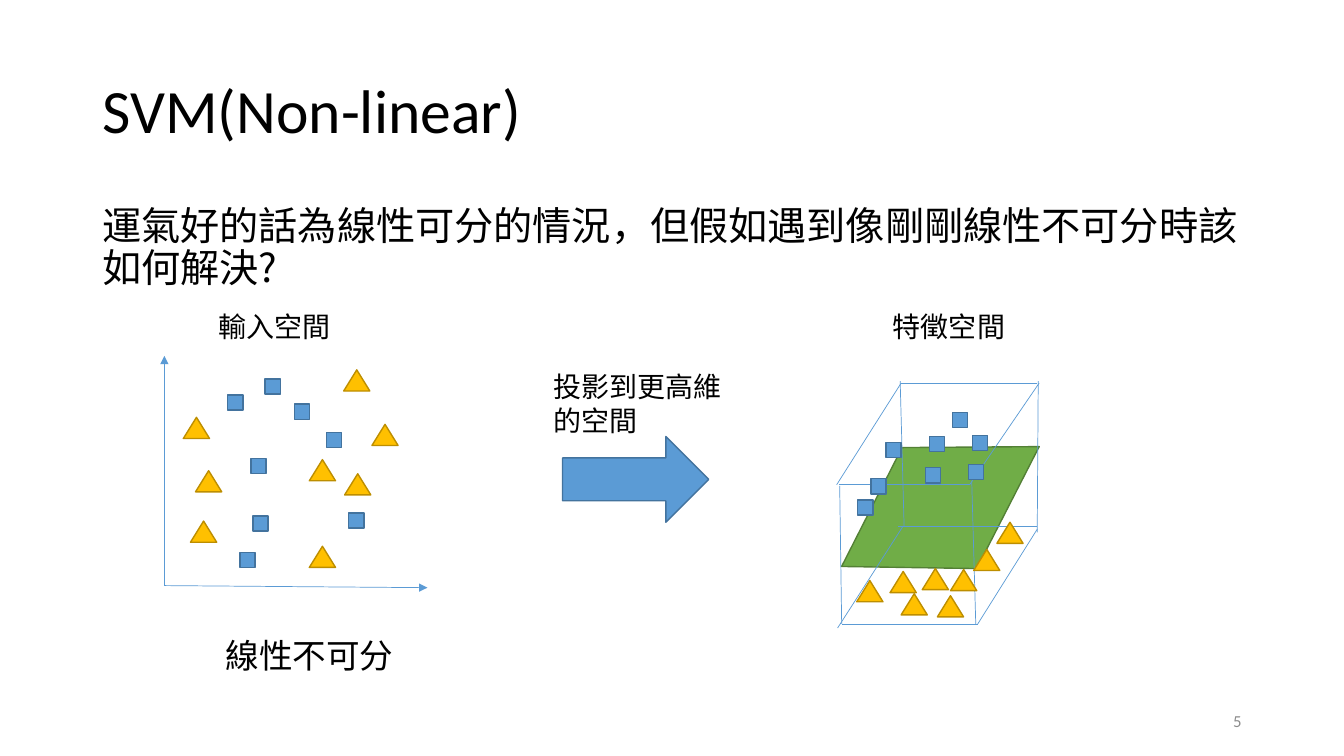
import pptx
import pptx.util
import pptx.dml.color
import pptx.enum.shapes
import pptx.enum.text
import pptx.oxml
import pptx.oxml.ns

Pt = pptx.util.Pt
RGBColor = pptx.dml.color.RGBColor
MSO_SHAPE = pptx.enum.shapes.MSO_SHAPE
PP_ALIGN = pptx.enum.text.PP_ALIGN
MSO_ANCHOR = pptx.enum.text.MSO_ANCHOR

BLACK = RGBColor(0x00, 0x00, 0x00)
GRAY = RGBColor(0x8C, 0x8C, 0x8C)
BLUE = RGBColor(0x5B, 0x9B, 0xD5)
DARK_BLUE = RGBColor(0x43, 0x73, 0x9E)
GOLD = RGBColor(0xFF, 0xC0, 0x00)
DARK_GOLD = RGBColor(0xBD, 0x8E, 0x00)
GREEN = RGBColor(0x70, 0xAD, 0x47)
DARK_GREEN = RGBColor(0x53, 0x80, 0x35)

LATIN = "Calibri"
CJK = "Noto Sans CJK SC"

INPUT_SQUARES = [(45.7, 65.2), (93.2, 71.7), (62.3, 110.6), (63.7, 151.6),
                 (72.4, 53.7), (132.1, 149.5), (54.4, 177.6), (116.3, 91.9)]
INPUT_TRIANGLES = [(128.5, 47.2), (148.7, 86.1), (104, 111.3), (19.1, 155.2),
                   (129.2, 121.4), (14, 81.1), (22.7, 119.2), (104, 173.2)]
FEATURE_SQUARES = [(82.4, 77.5), (65.8, 94.8), (34.9, 99.1), (24.1, 125),
                   (96.8, 94), (63, 117.1), (14.7, 140.1), (93.9, 114.9)]
FEATURE_TRIANGLES = [(14, 197.7), (45.7, 207.1), (71.6, 208.5), (97.5, 175.4),
                     (60.8, 189.1), (114.1, 156), (81, 189.8), (37.8, 191.2)]
PLANE = [(46.4, 102.7), (144.3, 102), (99.7, 189.1), (3.2, 187.6)]
CUBE_EDGES = [
    (45.7, 56.6, -0.4, 129.3), (142.9, 56.6, 45.7, 56.6),
    (94.6, 129.3, 1, 129.3), (144.3, 56.6, 94.6, 129.3),
    (47.1, 158.8, 0.3, 231.6), (142.9, 161, 100.4, 228.7),
    (143.6, 55.2, 142.9, 163.2), (1.8, 130, 3.2, 228.7),
    (142.9, 158.8, 43.5, 158.8), (100.4, 228.7, 3.2, 228.7),
    (96.1, 126.4, 99, 228.7), (45, 55.2, 47.8, 158.8),
]


def add_run(p, text, size, font, color=BLACK):
    r = p.add_run()
    r.text = text
    r.font.size = Pt(size)
    r.font.name = font
    r.font.color.rgb = color
    ea = pptx.oxml.parse_xml(
        f'<a:ea {pptx.oxml.ns.nsdecls("a")} typeface="{font}"/>')
    r.font._element.find(pptx.oxml.ns.qn("a:latin")).addnext(ea)


def add_text(slide, box, text, size, font=CJK, color=BLACK):
    tb = slide.shapes.add_textbox(*[Pt(v) for v in box])
    tf = tb.text_frame
    tf.word_wrap = True
    add_run(tf.paragraphs[0], text, size, font, color)
    return tf


def paint(sp, fill, line):
    sp.shadow.inherit = False
    sp.fill.solid()
    sp.fill.fore_color.rgb = fill
    sp.line.color.rgb = line
    sp.line.width = Pt(1)


def add_preset(slide, kind, box, fill, line):
    sp = slide.shapes.add_shape(kind, *[Pt(v) for v in box])
    paint(sp, fill, line)


def add_line(slide, x, y, ends, arrow=False):
    x1, y1, x2, y2 = ends
    line = slide.shapes.add_connector(
        pptx.enum.shapes.MSO_CONNECTOR.STRAIGHT,
        Pt(x + x1), Pt(y + y1), Pt(x + x2), Pt(y + y2))
    line.line.color.rgb = BLUE
    line.line.width = Pt(0.5)
    ns = pptx.oxml.ns.nsdecls("a")
    if arrow:
        line.line._get_or_add_ln().append(
            pptx.oxml.parse_xml(f'<a:tailEnd {ns} type="triangle"/>'))
    line._element.spPr.append(pptx.oxml.parse_xml(f"<a:effectLst {ns}/>"))


def add_points(slide, x, y, squares, triangles):
    """Scatter both classes; each pair is a marker's top left corner."""
    for dx, dy in triangles:
        add_preset(slide, MSO_SHAPE.ISOSCELES_TRIANGLE,
                   (x + dx, y + dy, 18.7, 15.1), GOLD, DARK_GOLD)
    for dx, dy in squares:
        add_preset(slide, MSO_SHAPE.RECTANGLE,
                   (x + dx, y + dy, 10.8, 10.8), BLUE, DARK_BLUE)


def add_header(slide, x, y, w):
    title = slide.shapes.title
    title.left, title.top, title.width, title.height = (
        Pt(x), Pt(y), Pt(w), Pt(104.4))
    tf = title.text_frame
    tf.word_wrap = True
    tf.auto_size = pptx.enum.text.MSO_AUTO_SIZE.NONE
    tf.vertical_anchor = MSO_ANCHOR.MIDDLE
    p = tf.paragraphs[0]
    p.alignment = PP_ALIGN.LEFT
    p.line_spacing = 0.9
    add_run(p, "SVM(Non-linear)", 44, LATIN)

    question = add_text(
        slide, (x, y + 115.2, w, 72),
        "運氣好的話為線性可分的情況，但假如遇到像剛剛線性不可分時該如何解決?", 28)
    question.paragraphs[0].line_spacing = 0.9


def add_input_space(slide, x, y):
    add_text(slide, (x + 32, y + 0.4, 116.6, 31.7), "輸入空間", 20)
    add_line(slide, x, y, (0.4, 201.3, 0.4, 37.2), arrow=True)
    add_line(slide, x, y, (0.4, 201.3, 188.3, 202.8), arrow=True)
    add_points(slide, x, y, INPUT_SQUARES, INPUT_TRIANGLES)
    add_text(slide, (x + 37, y + 233, 177.8, 36), "線性不可分", 24)


def add_projection(slide, x, y):
    add_preset(slide, MSO_SHAPE.RIGHT_ARROW,
               (x + 13.8, y + 51.2, 104.4, 61.2), BLUE, DARK_BLUE)
    add_text(slide, (x, y, 144.7, 55.4), "投影到更高維的空間", 20)


def add_feature_space(slide, x, y):
    """Draw the cube split by a separating plane, with its points."""
    corners = [(Pt(x + dx), Pt(y + dy)) for dx, dy in PLANE]
    builder = slide.shapes.build_freeform(*corners[0])
    builder.add_line_segments(corners[1:], close=True)
    paint(builder.convert_to_shape(), GREEN, DARK_GREEN)
    for edge in CUBE_EDGES:
        add_line(slide, x, y, edge)
    add_points(slide, x, y, FEATURE_SQUARES, FEATURE_TRIANGLES)
    add_text(slide, (x + 32.7, y + 0.4, 116.6, 31.7), "特徵空間", 20)


def add_page_number(slide, x, y):
    tf = add_text(slide, (x, y, 216, 28.8), "5", 12, LATIN, GRAY)
    tf.vertical_anchor = MSO_ANCHOR.MIDDLE
    tf.paragraphs[0].alignment = PP_ALIGN.RIGHT


def main():
    prs = pptx.Presentation()
    prs.slide_width, prs.slide_height = Pt(960), Pt(540)
    slide = prs.slides.add_slide(prs.slide_layouts[5])
    add_header(slide, 66, 28.8, 828)
    add_input_space(slide, 117, 217)
    add_projection(slide, 388, 260.6)
    add_feature_space(slide, 598, 217)
    add_page_number(slide, 678, 500.5)
    prs.save("out.pptx")


if __name__ == "__main__":
    main()
